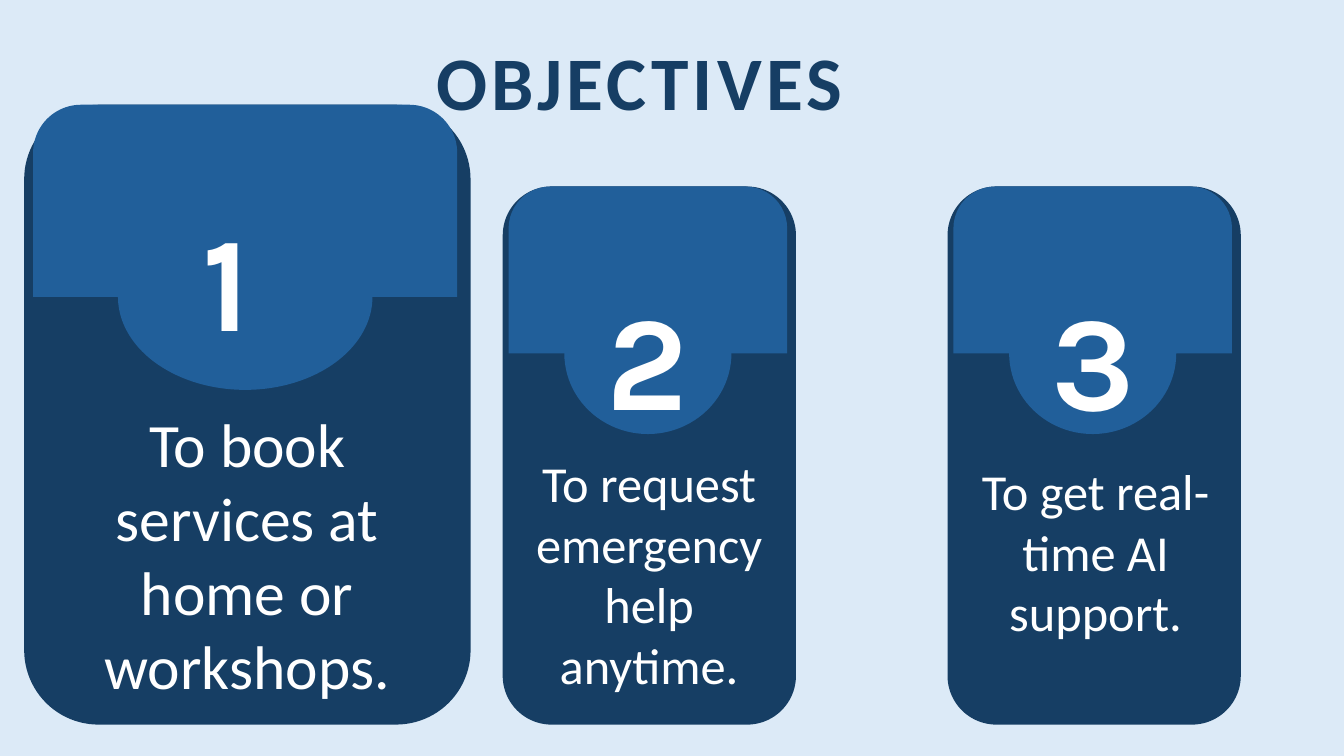
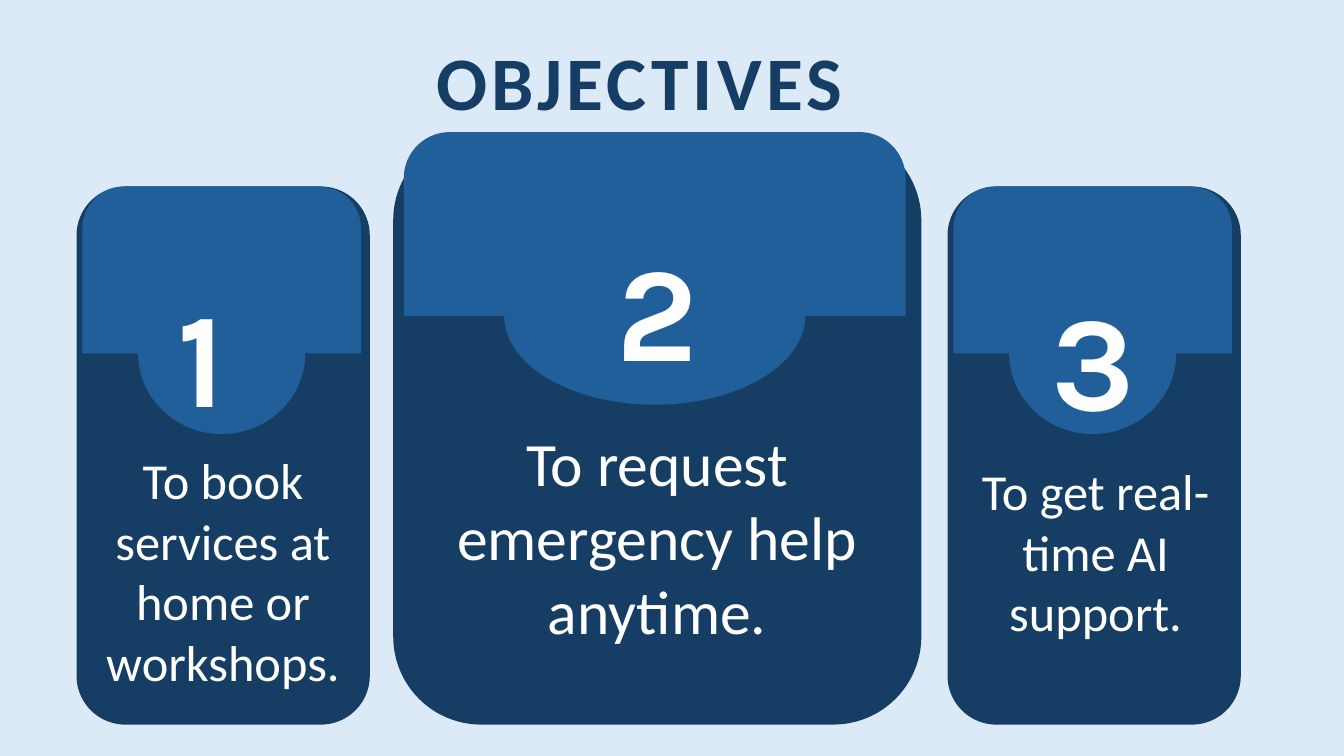
from pptx import Presentation
from pptx.dml.color import RGBColor
from pptx.enum.shapes import MSO_SHAPE as Preset
from pptx.enum.text import MSO_AUTO_SIZE as AutoSize, PP_ALIGN as Align
from pptx.util import Cm, Pt

COLORS = {"page": "DCEAF7", "navy": "163E64", "blue": "215F9A", "white": "FFFFFF"}
CARD_BOTTOM = 18.26

OBJECTIVES = {
    "1": "To book services at home or workshops.",
    "2": "To request emergency help anytime.",
    "3": "To get real-time AI support.",
}

# Card: number, (left, top, width), number at, text at, text height, text size
SMALL_TOP, SMALL_WIDTH = 4.7, 7.39
THIRD = ("3", (23.88, SMALL_TOP, SMALL_WIDTH), (26.26, 6.83), (24.1, 11.48), 4.88, 36)
PAGES = [
    [
        ("1", (0.61, 2.64, 11.25), (4.85, 4.85), (0.89, 10.11), 7.77, 44),
        ("2", (12.67, SMALL_TOP, SMALL_WIDTH), (15.04, 6.83), (12.85, 11.28), 6.4, 36),
        THIRD,
    ],
    [
        ("1", (1.93, SMALL_TOP, SMALL_WIDTH), (4.22, 6.76), (2.11, 11.2), 6.4, 36),
        ("2", (9.91, 3.33, 13.31), (15.29, 5.61), (10.24, 10.59), 5.89, 44),
        THIRD,
    ],
]

# Card parts: preset, colour, then left, top, width, height as shares of the card
CARD_PARTS = [
    (Preset.ROUNDED_RECTANGLE, "navy", 0, 0, 1, 1),
    (Preset.ROUND_2_SAME_RECTANGLE, "blue", 0.02, 0, 0.95, 0.31),
    (Preset.FLOWCHART_CONNECTOR, "blue", 0.21, 0.16, 0.57, 0.3),
]


def color(name):
    return RGBColor.from_string(COLORS[name])


def add_text(shapes, text, left, top, width, height, *, size, font="Calibri",
             fill="white", bold=False, align=Align.LEFT, spacing=0):
    box = shapes.add_textbox(Cm(left), Cm(top), Cm(width), Cm(height))
    frame = box.text_frame
    frame.word_wrap = True
    frame.auto_size = AutoSize.SHAPE_TO_FIT_TEXT
    para = frame.paragraphs[0]
    para.alignment = align
    span = para.add_run()
    span.text = text
    span.font.name = font
    span.font.size = Pt(size)
    span.font.bold = bold
    span.font.color.rgb = color(fill)
    if spacing:
        span._r.get_or_add_rPr().set("spc", str(spacing * 100))


deck = Presentation()
deck.slide_width, deck.slide_height = Cm(33.87), Cm(19.05)

for cards in PAGES:
    page = deck.slides.add_slide(deck.slide_layouts[6])
    page.background.fill.solid()
    page.background.fill.fore_color.rgb = color("page")

    # Title
    add_text(page.shapes, "OBJECTIVES", 10.74, 0.76, 11.25, 2.57,
             size=54, fill="navy", bold=True, spacing=3)

    # Objective cards
    for number, (left, top, width), number_at, text_at, text_height, size in cards:
        card = page.shapes.add_group_shape().shapes
        height = CARD_BOTTOM - top
        for preset, fill, x, y, w, h in CARD_PARTS:
            shape = card.add_shape(preset, Cm(left + x * width), Cm(top + y * height),
                                   Cm(w * width), Cm(h * height))
            shape.shadow.inherit = False
            shape.fill.solid()
            shape.fill.fore_color.rgb = color(fill)
            shape.line.fill.background()
            if preset == Preset.ROUND_2_SAME_RECTANGLE:
                shape.adjustments[0] = 0.25
        add_text(card, number, *number_at, 0.57 * width, 4.37,
                 size=96, font="Karla", bold=True)
        add_text(card, OBJECTIVES[number], *text_at, 0.95 * width, text_height,
                 size=size, align=Align.CENTER)

deck.save("out.pptx")
